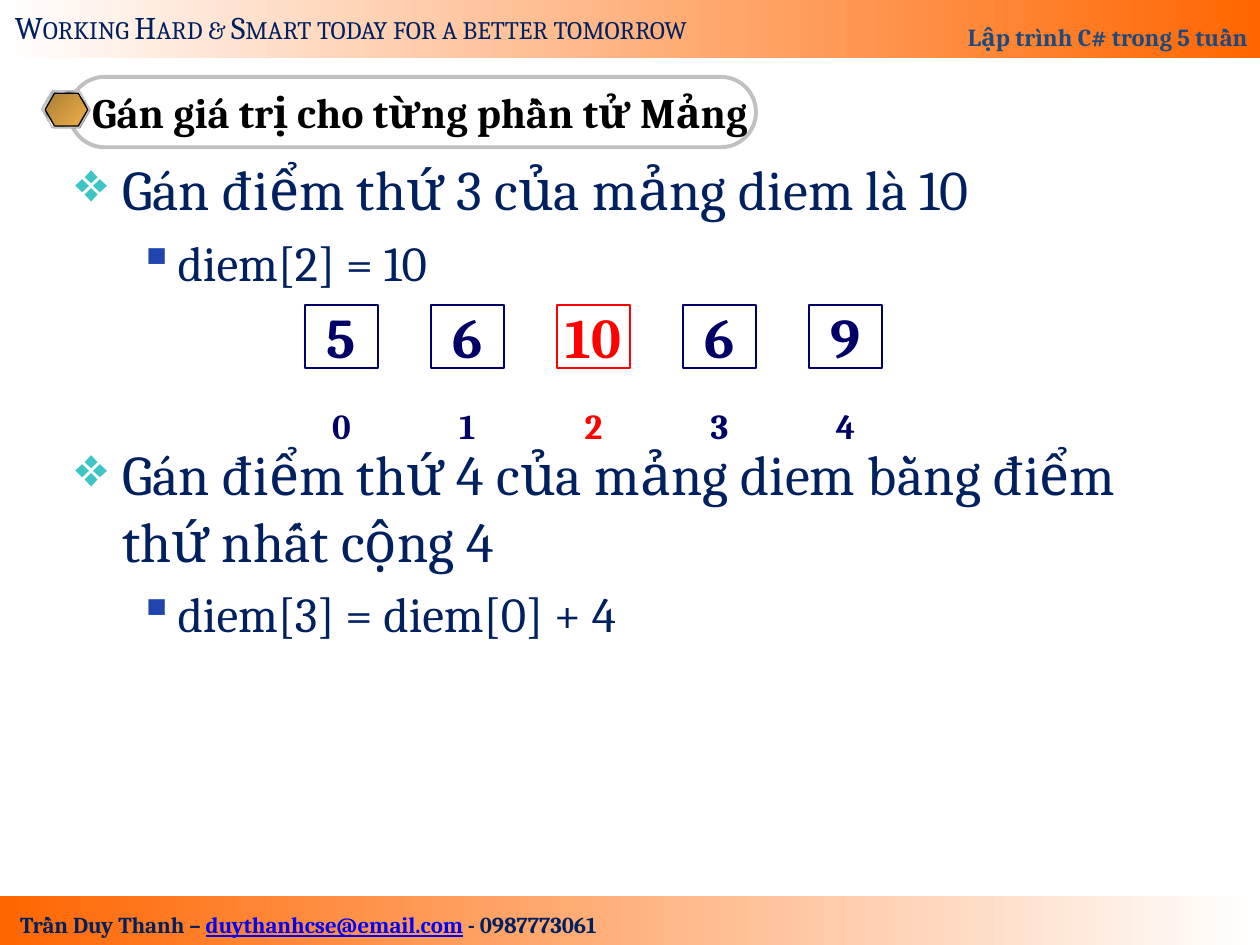
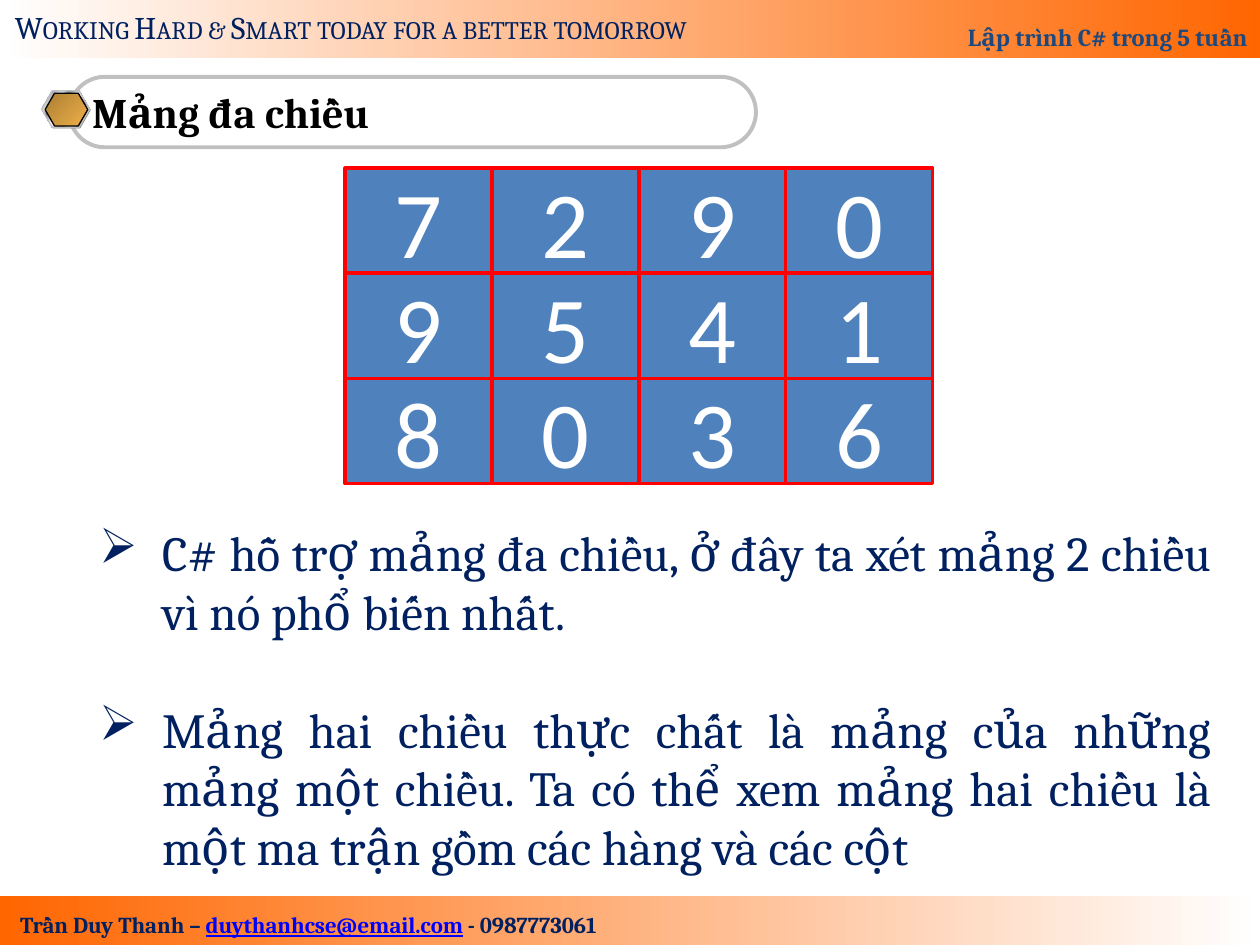
from lxml import etree
from pptx import Presentation
from pptx.dml.color import RGBColor
from pptx.enum.shapes import MSO_SHAPE
from pptx.enum.text import MSO_ANCHOR, PP_ALIGN
from pptx.oxml.ns import qn
from pptx.util import Cm, Pt

COLORS = {
    "navy": "002060", "title_blue": "1F497D", "link": "0000FF",
    "orange": "FF6600", "white": "FFFFFF", "black": "000000",
    "silver": "C0C0C0", "gray": "808080", "array": "000066",
    "red": "FF0000", "cell": "4F81BD", "teal": "3DC5C5", "royal": "2045AE",
    "bronze": "AB7E34", "gold": "EFB049", "pale": "E6E6E6", "steel": "7D8496",
}
BAND = [(0, "white"), (100, "orange")]
BAND_FLIPPED = [(0, "orange"), (100, "white")]
BRONZE = [(0, "bronze"), (100, "gold")]
CHROME = [(0, "pale"), (7, "steel"), (26, "pale"), (34, "steel"),
          (46, "pale"), (50, "white"), (54, "pale"), (66, "steel"),
          (74, "pale"), (93, "steel"), (100, "pale")]


def rgb(name):
    """Return the named colour."""
    return RGBColor.from_string(COLORS[name])


def add_text(p, text, size=18, color="navy", font="Cambria", bold=False,
             underline=False, small_caps=False):
    """Append a formatted run to a paragraph."""
    r = p.add_run()
    r.text = text
    f = r.font
    f.size, f.name, f.bold, f.underline = Pt(size), font, bold, underline
    f.color.rgb = rgb(color)
    if small_caps:
        r._r.get_or_add_rPr().set("cap", "small")
    return r


def set_gradient(s, stops, angle=0):
    """Fill a shape with a linear gradient, angle in clockwise degrees."""
    s.fill.gradient()
    s.fill.gradient_angle = (360 - angle) % 360
    gs_list = s._element.spPr.find(".//" + qn("a:gsLst"))
    for gs in list(gs_list):
        gs_list.remove(gs)
    for pos, name in stops:
        gs = etree.SubElement(gs_list, qn("a:gs"), pos=str(pos * 1000))
        etree.SubElement(gs, qn("a:srgbClr"), val=COLORS[name])


def add_box(slide, kind, at, fill=None, gradient=None, angle=0, line=None,
            width=0.75, adjust=()):
    """Add a preset shape, its place given in centimetres."""
    s = slide.shapes.add_shape(kind, *map(Cm, at))
    s.shadow.inherit = False
    for i, value in enumerate(adjust):
        s.adjustments[i] = value
    if gradient:
        set_gradient(s, gradient, angle)
    elif fill:
        s.fill.solid()
        s.fill.fore_color.rgb = rgb(fill)
    else:
        s.fill.background()
    if line:
        s.line.color.rgb = rgb(line)
        s.line.width = Pt(width)
    else:
        s.line.fill.background()
    return s


def first_paragraph(s, align=PP_ALIGN.LEFT, anchor=MSO_ANCHOR.MIDDLE,
                    wrap=False):
    """Set up the text frame of a shape and return its first paragraph."""
    tf = s.text_frame
    tf.word_wrap, tf.vertical_anchor = wrap, anchor
    p = tf.paragraphs[0]
    p.alignment = align
    return p


def add_label(slide, at, align=PP_ALIGN.LEFT, anchor=MSO_ANCHOR.TOP):
    """Add a text box that does not wrap and return its paragraph."""
    return first_paragraph(slide.shapes.add_textbox(*map(Cm, at)),
                           align, anchor)


def set_bullet(p, char, margin, hang, color=None):
    """Give a paragraph a bullet with a hanging indent."""
    pPr = p._p.get_or_add_pPr()
    pPr.set("marL", str(Cm(margin)))
    pPr.set("indent", str(-Cm(hang)))
    if color:
        clr = etree.SubElement(pPr, qn("a:buClr"))
        etree.SubElement(clr, qn("a:srgbClr"), val=COLORS[color])
    etree.SubElement(pPr, qn("a:buChar"), char=char)


def add_bullets(slide, at, items, align=PP_ALIGN.LEFT):
    """Add a list of (text, size, space before, level, bullet) items."""
    s = slide.shapes.add_textbox(*map(Cm, at))
    p = first_paragraph(s, align, MSO_ANCHOR.TOP, wrap=True)
    for i, (text, size, before, level, bullet) in enumerate(items):
        if i:
            p = s.text_frame.add_paragraph()
        p.alignment, p.level, p.space_before = align, level, Pt(before)
        set_bullet(p, *bullet)
        add_text(p, text, size=size)


def add_frame(slide):
    """Draw the header and footer bands with their texts."""
    add_box(slide, MSO_SHAPE.RECTANGLE, (0, 18.06, 25.4, 0.99),
            gradient=BAND_FLIPPED)
    s = add_box(slide, MSO_SHAPE.RECTANGLE, (0, 0, 25.4, 1.17), gradient=BAND)
    p = first_paragraph(s, PP_ALIGN.RIGHT, MSO_ANCHOR.BOTTOM, wrap=True)
    p.line_spacing = 1.8
    add_text(p, "Lập trình C# trong 5 tuần", size=14, color="title_blue",
             bold=True)
    p = add_label(slide, (-0.2, 18.24, 12.83, 0.81), PP_ALIGN.CENTER)
    add_text(p, "Trần Duy Thanh – ", size=13, bold=True)
    add_text(p, "duythanhcse@email.com", size=13, color="link", bold=True,
             underline=True)
    add_text(p, " - 0987773061", size=13, bold=True)
    p = add_label(slide, (0.05, 0.03, 14.99, 1.02))
    add_text(p, "Working Hard & Smart today for a better tomorrow",
             small_caps=True)


def add_title(slide, title):
    """Draw the title pill and its hexagon badge."""
    s = add_box(slide, MSO_SHAPE.ROUNDED_RECTANGLE, (1.4, 1.55, 13.84, 1.42),
                line="silver", width=2.25, adjust=(0.5,))
    add_text(first_paragraph(s), title, size=24, color="black", bold=True)
    hexagons = [
        ((0.86, 1.85, 0.97, 0.74), {"fill": "gray"}),
        ((0.84, 1.83, 0.97, 0.74), {"gradient": CHROME, "line": "silver"}),
        ((0.91, 1.88, 0.86, 0.66), {"gradient": BRONZE, "line": "black"}),
    ]
    for at, style in hexagons:
        add_box(slide, MSO_SHAPE.HEXAGON, at, angle=45,
                adjust=(0.289, 1.155), **style)


def add_array(slide, values, marked):
    """Draw a row of boxed values above their indexes, one in red."""
    for i, value in enumerate(values):
        color = "red" if i == marked else "array"
        x = 6.15 + 2.54 * i
        s = add_box(slide, MSO_SHAPE.RECTANGLE, (x, 6.15, 1.47, 1.27),
                    line=color)
        add_text(first_paragraph(s, PP_ALIGN.CENTER), str(value), size=32,
                 color=color, bold=True)
        p = add_label(slide, (x, 8.26, 1.47, 0.64), PP_ALIGN.CENTER,
                      MSO_ANCHOR.MIDDLE)
        add_text(p, str(i), size=20, color=color, bold=True)


def add_matrix(slide, rows):
    """Draw a grid of touching number cells."""
    w, h = 2.96, 2.12
    for i, row in enumerate(rows):
        for j, value in enumerate(row):
            s = add_box(slide, MSO_SHAPE.RECTANGLE,
                        (6.96 + w * j, 3.39 + h * i, w, h),
                        fill="cell", line="red", width=2)
            p = first_paragraph(s, PP_ALIGN.CENTER, wrap=True)
            add_text(p, str(value), size=54, color="white", font="Calibri")


def new_slide(prs, title):
    """Add a blank slide with the shared frame and a title."""
    slide = prs.slides.add_slide(prs.slide_layouts[6])
    add_frame(slide)
    add_title(slide, title)
    return slide


def main():
    """Build both slides and save them."""
    prs = Presentation()
    prs.slide_width, prs.slide_height = Cm(25.4), Cm(19.05)

    slide = new_slide(prs, "Gán giá trị cho từng phần tử Mảng")
    diamond = ("❖", 0.95, 0.95, "teal")
    square = ("▪", 2.06, 0.79, "royal")
    add_bullets(slide, (1.27, 3, 22.86, 14.58), [
        ("Gán điểm thứ 3 của mảng diem là 10", 32, 6.4, 0, diamond),
        ("diem[2] = 10", 28, 5.6, 1, square),
        ("Gán điểm thứ 4 của mảng diem bằng điểm thứ nhất cộng 4",
         32, 85, 0, diamond),
        ("diem[3] = diem[0] + 4", 28, 5.6, 1, square),
    ])
    add_array(slide, [5, 6, 10, 6, 9], marked=2)

    slide = new_slide(prs, "Mảng đa chiều")
    add_matrix(slide, [[7, 2, 9, 0], [9, 5, 4, 1], [8, 0, 3, 6]])
    arrow = ("➢", 1.27, 1.27)
    add_bullets(slide, (1.75, 10.41, 22.91, 7.44), [
        ("C# hỗ trợ mảng đa chiều, ở đây ta xét mảng 2 chiều vì nó phổ "
         "biến nhất.", 28, 0, 0, arrow),
        ("Mảng hai chiều thực chất là mảng của những mảng một chiều. Ta có "
         "thể xem mảng hai chiều là một ma trận gồm các hàng và các cột",
         28, 33.6, 0, arrow),
    ], PP_ALIGN.JUSTIFY)

    prs.save("out.pptx")


main()
